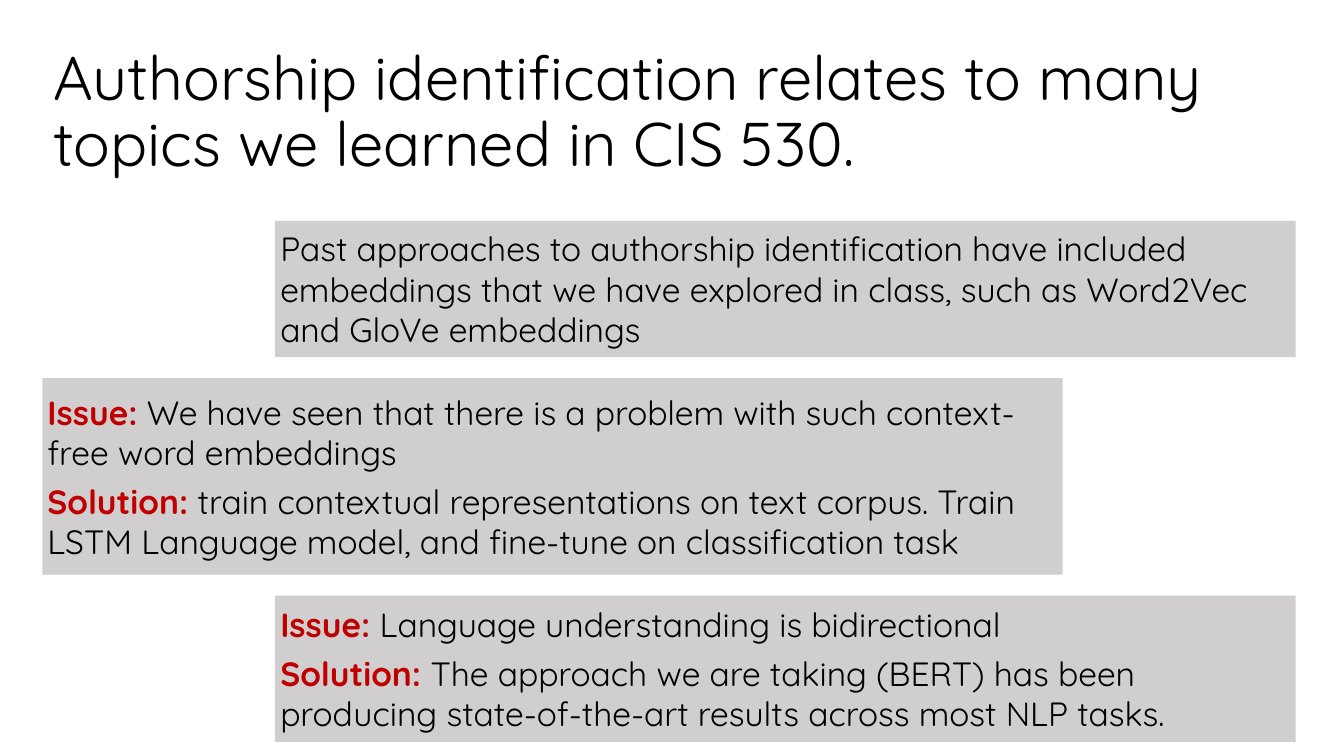
from dataclasses import dataclass

from pptx import Presentation
from pptx.dml.color import RGBColor
from pptx.enum import shapes, text
from pptx.util import Inches, Pt


@dataclass(frozen=True)
class Theme:
    font: str = "Quicksand"
    ink: str = "000000"
    accent: str = "C00000"
    panel: str = "D0CECE"
    title_size: int = 44
    body_size: int = 24


@dataclass(frozen=True)
class Statement:
    body: str
    label: str = ""


@dataclass(frozen=True)
class Panel:
    left: float
    top: float
    height: float
    statements: tuple[Statement, ...]


THEME = Theme()
PANEL_WIDTH = 10.12
LEFT_COLUMN, RIGHT_COLUMN = 0.42, 2.73
TITLE = "Authorship identification relates to many topics we learned in CIS 530."

PANELS = (
    Panel(RIGHT_COLUMN, 2.19, 1.35, (
        Statement(
            "Past approaches to authorship identification have included embeddings "
            "that we have explored in class, such as Word2Vec and GloVe embeddings"
        ),
    )),
    Panel(LEFT_COLUMN, 3.75, 1.95, (
        Statement(
            "We have seen that there is a problem with such context-free word embeddings",
            "Issue: ",
        ),
        Statement(
            "train contextual representations on text corpus. Train LSTM Language model, "
            "and fine-tune on classification task",
            "Solution: ",
        ),
    )),
    Panel(RIGHT_COLUMN, 5.91, 1.45, (
        Statement("Language understanding is bidirectional", "Issue: "),
        Statement(
            "The approach we are taking (BERT) has been producing state-of-the-art "
            "results across most NLP tasks.",
            "Solution: ",
        ),
    )),
)


def add_span(para, content: str, *, size: int = THEME.body_size,
             color: str = THEME.ink, bold: bool = False) -> None:
    span = para.add_run()
    span.text = content
    span.font.name = THEME.font
    span.font.size = Pt(size)
    span.font.bold = bold
    span.font.color.rgb = RGBColor.from_string(color)


def prepare_frame(box, side_margin: float):
    frame = box.text_frame
    frame.word_wrap = True
    frame.vertical_anchor = text.MSO_ANCHOR.MIDDLE
    frame.margin_left = frame.margin_right = Inches(side_margin)
    frame.margin_top = frame.margin_bottom = Inches(0.05)
    return frame


def draw_title(page) -> None:
    box = page.shapes.add_textbox(Inches(0.43), Inches(0.4), Inches(12.47), Inches(1.45))
    para = prepare_frame(box, 0.1).paragraphs[0]
    para.line_spacing = 0.9
    add_span(para, TITLE, size=THEME.title_size)


def draw_panel(page, panel: Panel) -> None:
    box = page.shapes.add_shape(
        shapes.MSO_SHAPE.RECTANGLE, Inches(panel.left), Inches(panel.top),
        Inches(PANEL_WIDTH), Inches(panel.height),
    )
    box.shadow.inherit = False
    box.fill.solid()
    box.fill.fore_color.rgb = RGBColor.from_string(THEME.panel)
    box.line.fill.background()
    frame = prepare_frame(box, 0.05)
    for index, statement in enumerate(panel.statements):
        para = frame.add_paragraph() if index else frame.paragraphs[0]
        para.alignment = text.PP_ALIGN.LEFT
        if index:
            para.space_before = Pt(6)
        if statement.label:
            add_span(para, statement.label, color=THEME.accent, bold=True)
        add_span(para, statement.body)


def main() -> None:
    deck = Presentation()
    deck.slide_width, deck.slide_height = Inches(13.33), Inches(7.5)
    page = deck.slides.add_slide(deck.slide_layouts[6])
    draw_title(page)
    for panel in PANELS:
        draw_panel(page, panel)
    deck.save("out.pptx")


if __name__ == "__main__":
    main()
